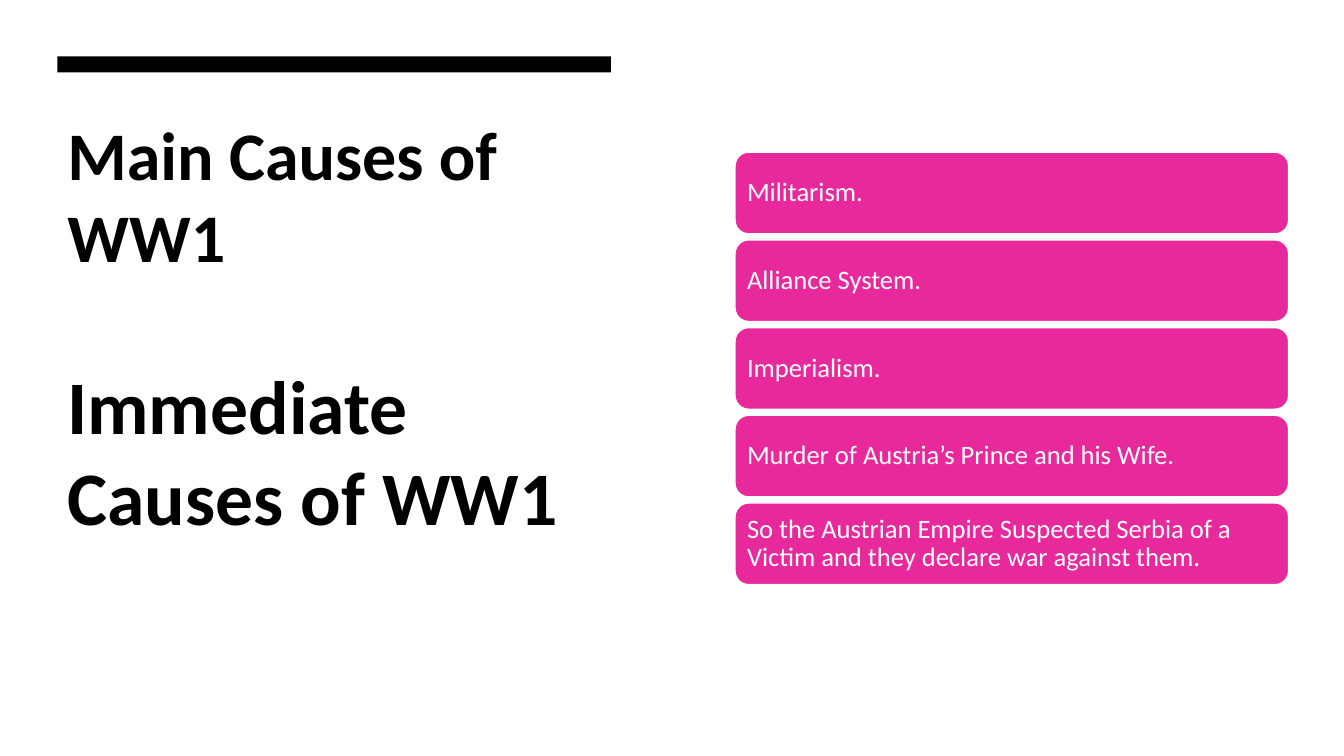
from pptx import Presentation
from pptx.dml.color import RGBColor
from pptx.enum import shapes, text
from pptx.util import Inches, Pt

COLOURS = {"black": "000000", "white": "FFFFFF", "pink": "E7299B"}
FONT = "Calibri"
HEADINGS = [("Main Causes of WW1", 48.6, 0), ("Immediate Causes of WW1", 54, 59.3)]
CAUSES = [
    "Militarism.",
    "Alliance System.",
    "Imperialism.",
    "Murder of Austria’s Prince and his Wife.",
    "So the Austrian Empire Suspected Serbia of a Victim and they declare war against them.",
]
COLUMN_WIDTH = 5.49
TITLE_LEFT = 0.57
CARD_LEFT, CARD_TOP, CARD_HEIGHT, CARD_PITCH = 7.29, 1.51, 0.81, 0.87


def colour(name):
    return RGBColor.from_string(COLOURS[name])


def write(para, wording, size, ink, bold=False, before=0, spacing=1.0):
    para.alignment = text.PP_ALIGN.LEFT
    para.space_before = Pt(before)
    para.line_spacing = spacing
    span = para.add_run()
    span.text = wording
    span.font.name = FONT
    span.font.size = Pt(size)
    span.font.bold = bold
    span.font.color.rgb = colour(ink)


def add_block(page, kind, left, top, height, fill, line=None):
    box = page.shapes.add_shape(
        kind, Inches(left), Inches(top), Inches(COLUMN_WIDTH), Inches(height)
    )
    box.shadow.inherit = False
    box.fill.solid()
    box.fill.fore_color.rgb = colour(fill)
    if line:
        box.line.color.rgb = colour(line)
        box.line.width = Pt(1)
    else:
        box.line.fill.background()
    return box


def add_title(page):
    box = page.shapes.add_textbox(
        Inches(TITLE_LEFT), Inches(1.07), Inches(COLUMN_WIDTH), Inches(5.33)
    )
    frame = box.text_frame
    frame.word_wrap = True
    for index, (wording, size, before) in enumerate(HEADINGS):
        para = frame.add_paragraph() if index else frame.paragraphs[0]
        write(para, wording, size, "black", bold=True, before=before)


def add_card(page, top, wording):
    box = add_block(
        page, shapes.MSO_SHAPE.ROUNDED_RECTANGLE,
        CARD_LEFT, top, CARD_HEIGHT, "pink", line="white",
    )
    frame = box.text_frame
    frame.word_wrap = True
    frame.vertical_anchor = text.MSO_ANCHOR.MIDDLE
    frame.margin_left = frame.margin_right = Inches(0.08)
    frame.margin_top = frame.margin_bottom = Inches(0.08)
    write(frame.paragraphs[0], wording, 19, "white", spacing=0.9)


def main():
    deck = Presentation()
    deck.slide_width = Inches(13.33)
    deck.slide_height = Inches(7.5)
    page = deck.slides.add_slide(deck.slide_layouts[6])
    add_block(page, shapes.MSO_SHAPE.RECTANGLE, TITLE_LEFT, 0.56, 0.16, "black")
    add_title(page)
    for index, cause in enumerate(CAUSES):
        add_card(page, CARD_TOP + index * CARD_PITCH, cause)
    deck.save("out.pptx")


if __name__ == "__main__":
    main()
